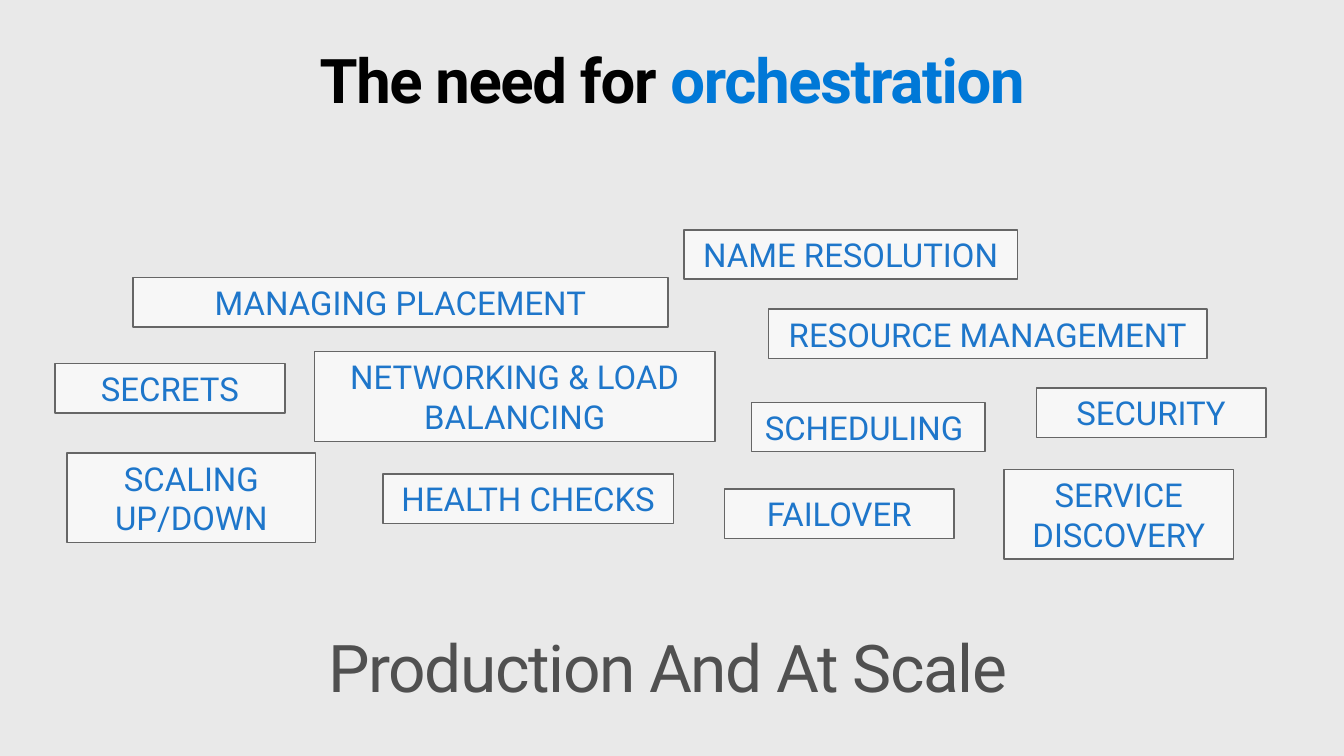
from pptx import Presentation
from pptx.dml.color import RGBColor
from pptx.enum.shapes import MSO_SHAPE
from pptx.enum.text import MSO_ANCHOR, PP_ALIGN
from pptx.util import Inches, Pt

BACKGROUND = RGBColor(0xE9, 0xE9, 0xE9)
BOX_FILL = RGBColor(0xF7, 0xF7, 0xF7)
BOX_LINE = RGBColor(0x66, 0x66, 0x66)
BOX_TEXT = RGBColor(0x1E, 0x76, 0xCA)
BLACK = RGBColor(0x00, 0x00, 0x00)
BLUE = RGBColor(0x00, 0x78, 0xD7)
GRAY = RGBColor(0x50, 0x50, 0x50)
RECTANGLE = MSO_SHAPE.RECTANGLE
CENTER = PP_ALIGN.CENTER
TOP, MIDDLE = MSO_ANCHOR.TOP, MSO_ANCHOR.MIDDLE

FONT = "Roboto"
WIDTH, HEIGHT = Inches(13.33), Inches(7.5)
LINE_HEIGHT, BOX_PADDING = Inches(0.4), Inches(0.09)

TITLE = [("The need for ", BLACK), ("orchestration", BLUE)]
CONCLUSION = [("Production And At Scale", GRAY)]

# text, left and width in % of slide width, top in % of slide height, lines
CONCERNS = [
    ("MANAGING PLACEMENT", 9.9, 39.8, 36.7, 1),
    ("NETWORKING & LOAD BALANCING", 23.4, 29.8, 46.5, 2),
    ("NAME RESOLUTION", 50.9, 24.8, 30.4, 1),
    ("FAILOVER", 53.9, 17.1, 64.7, 1),
    ("RESOURCE MANAGEMENT", 57.2, 32.6, 40.9, 1),
    ("SCHEDULING ", 55.9, 17.4, 53.2, 1),
    ("SCALING UP/DOWN", 5.0, 18.5, 59.9, 2),
    ("SECURITY", 77.1, 17.1, 51.3, 1),
    ("SERVICE DISCOVERY", 74.7, 17.1, 62.1, 2),
    ("HEALTH CHECKS", 28.5, 21.6, 62.7, 1),
    ("SECRETS", 4.1, 17.1, 48.1, 1),
]


def across(percent):
    return round(WIDTH * percent / 100)


def down(percent):
    return round(HEIGHT * percent / 100)


def write(shape, parts, size, bold=False, anchor=TOP, line_spacing=None,
          tracking=0, margins=(0.1, 0.05)):
    """Write (text, colour) parts as one centred paragraph; tracking in points."""
    frame = shape.text_frame
    frame.word_wrap = True
    frame.vertical_anchor = anchor
    frame.margin_left = frame.margin_right = Inches(margins[0])
    frame.margin_top = frame.margin_bottom = Inches(margins[1])
    paragraph = frame.paragraphs[0]
    paragraph.alignment = CENTER
    paragraph.line_spacing = line_spacing
    for text, color in parts:
        run = paragraph.add_run()
        run.text = text
        run.font.name = FONT
        run.font.size = Pt(size)
        run.font.bold = bold
        run.font.color.rgb = color
        if tracking:
            run.font._element.set("spc", str(tracking * 100))


def add_concern(slide, text, left, width, top, lines):
    box = slide.shapes.add_shape(RECTANGLE, across(left), down(top), across(width),
                                 lines * LINE_HEIGHT + BOX_PADDING)
    box.shadow.inherit = False
    box.fill.solid()
    box.fill.fore_color.rgb = BOX_FILL
    box.line.color.rgb = BOX_LINE
    box.line.width = Pt(1)
    write(box, [(text, BOX_TEXT)], size=23.5, anchor=MIDDLE)


def main():
    deck = Presentation()
    deck.slide_width, deck.slide_height = WIDTH, HEIGHT
    slide = deck.slides.add_slide(deck.slide_layouts[6])
    slide.background.fill.solid()
    slide.background.fill.fore_color.rgb = BACKGROUND

    for concern in CONCERNS:
        add_concern(slide, *concern)

    conclusion = slide.shapes.add_textbox(across(1.9), down(82.7), across(95.6), down(13))
    write(conclusion, CONCLUSION, size=47, line_spacing=0.9, tracking=-1,
          margins=(0.16, 0.1))
    title = slide.shapes.add_textbox(across(3.75), down(6.7), across(92.5), down(10.4))
    write(title, TITLE, size=44, bold=True, line_spacing=0.9, tracking=-1,
          margins=(0, 0))

    deck.save("out.pptx")


if __name__ == "__main__":
    main()
